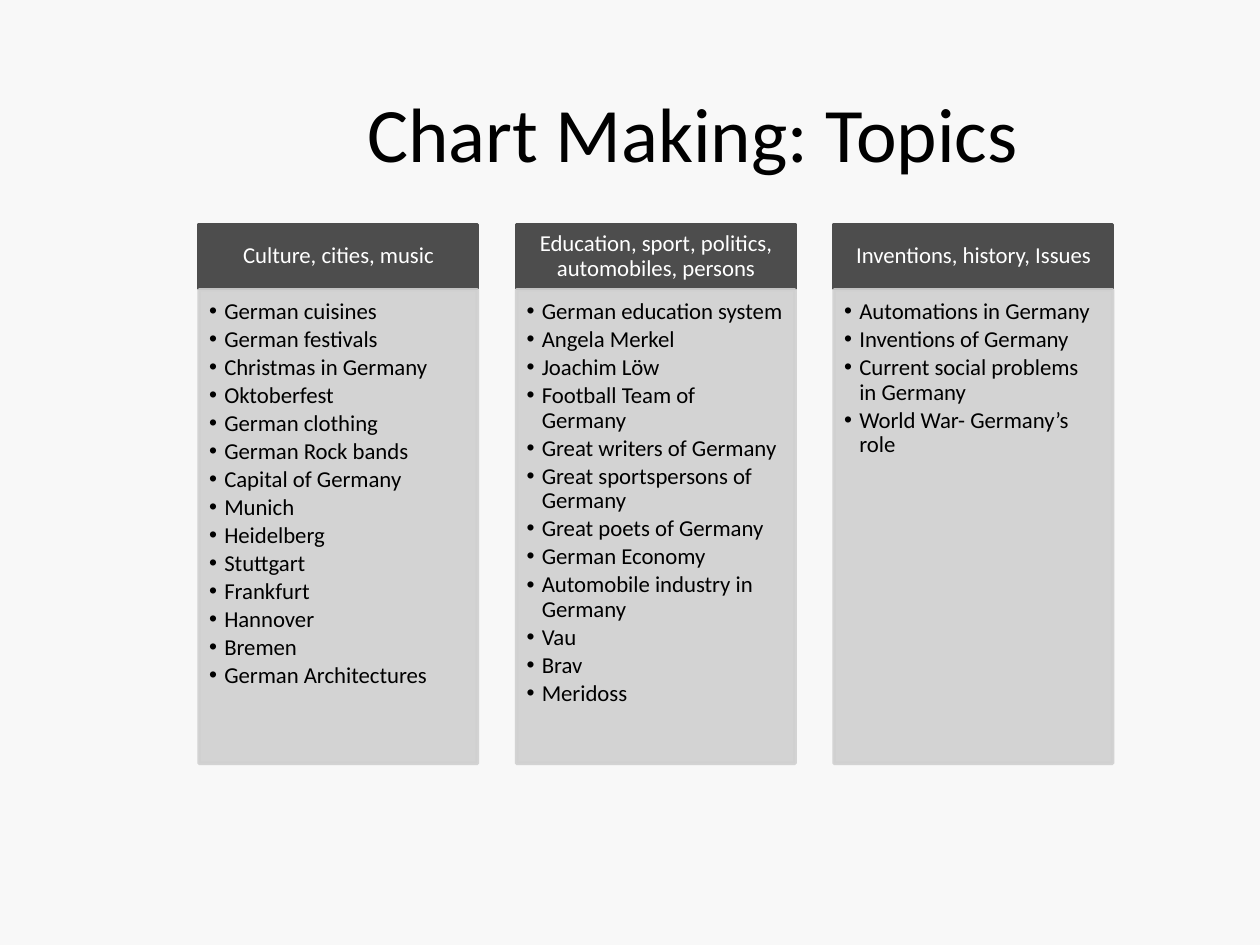
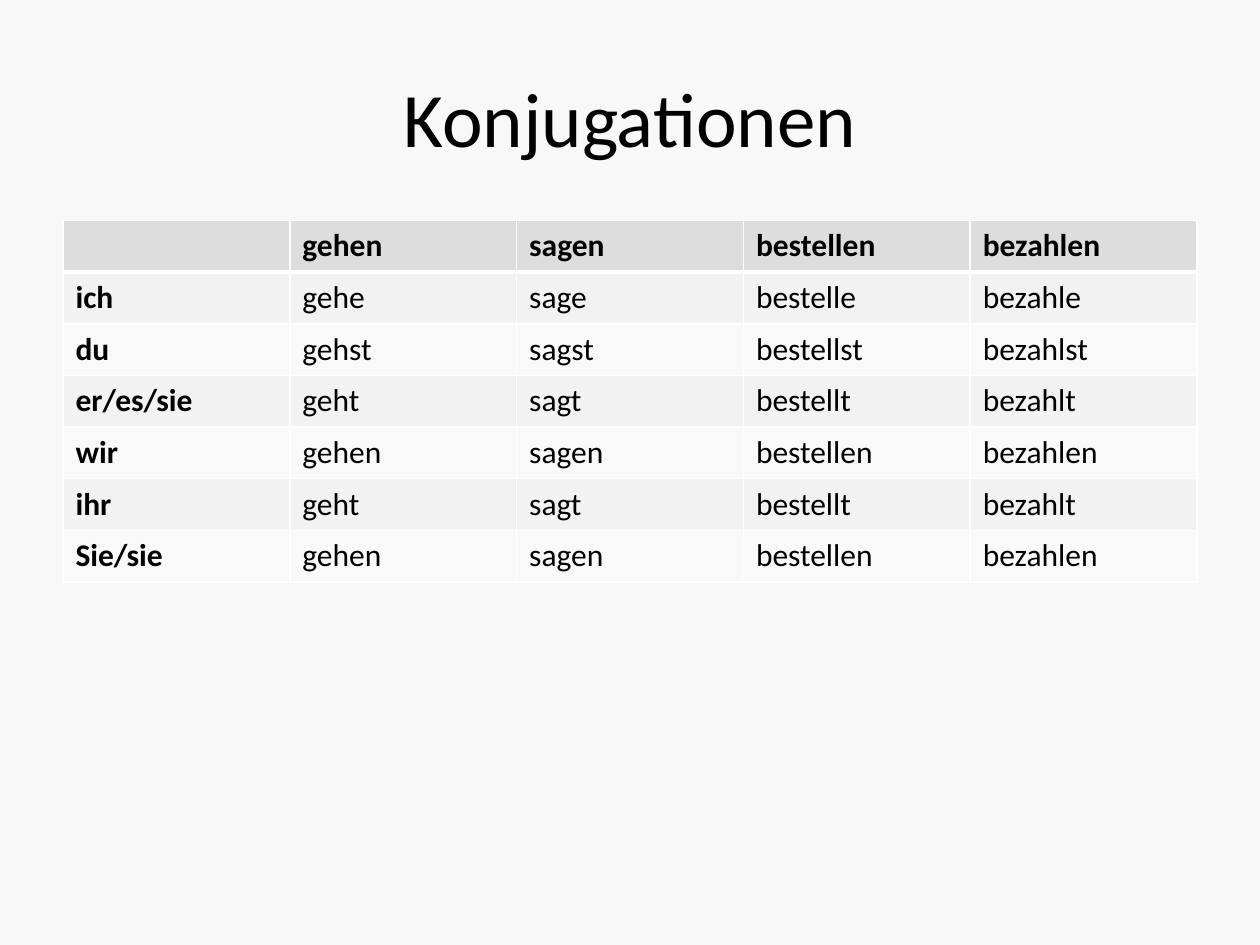
import pptx
import pptx.dml.color
import pptx.enum.shapes
import pptx.enum.text
import pptx.oxml.ns
import pptx.util
from lxml import etree

Inches, Pt = pptx.util.Inches, pptx.util.Pt
ANCHOR, ALIGN = pptx.enum.text.MSO_ANCHOR, pptx.enum.text.PP_ALIGN
qn = pptx.oxml.ns.qn

# Content
TOPICS_TITLE = "Chart Making: Topics"
TOPICS = {
    "Culture, cities, music": [
        "German cuisines", "German festivals", "Christmas in Germany",
        "Oktoberfest", "German clothing", "German Rock bands",
        "Capital of Germany", "Munich", "Heidelberg", "Stuttgart",
        "Frankfurt", "Hannover", "Bremen", "German Architectures",
    ],
    "Education, sport, politics, automobiles, persons": [
        "German education system", "Angela Merkel", "Joachim Löw",
        "Football Team of Germany", "Great writers of Germany",
        "Great sportspersons of Germany", "Great poets of Germany",
        "German Economy", "Automobile industry in Germany",
        "Vau", "Brav", "Meridoss",
    ],
    "Inventions, history, Issues": [
        "Automations in Germany", "Inventions of Germany",
        "Current social problems in Germany", "World War- Germany’s role",
    ],
}
VERBS_TITLE = "Konjugationen"
CONJUGATIONS = [
    ("", "gehen", "sagen", "bestellen", "bezahlen"),
    ("ich", "gehe", "sage", "bestelle", "bezahle"),
    ("du", "gehst", "sagst", "bestellst", "bezahlst"),
    ("er/es/sie", "geht", "sagt", "bestellt", "bezahlt"),
    ("wir", "gehen", "sagen", "bestellen", "bezahlen"),
    ("ihr", "geht", "sagt", "bestellt", "bezahlt"),
    ("Sie/sie", "gehen", "sagen", "bestellen", "bezahlen"),
]

# Shared style
FONT = "Calibri"
COLORS = {
    "background": "F8F8F8", "text": "000000", "white": "FFFFFF",
    "topic head": "4D4D4D", "topic body": "D0D0D0",
    "verb head": "DDDDDD", "odd row": "F2F2F2", "even row": "F9F9F9",
}


def rgb(name):
    return pptx.dml.color.RGBColor.from_string(COLORS[name])


def add_run(paragraph, text, size, color="text", bold=False):
    run = paragraph.add_run()
    run.text = text
    run.font.name, run.font.size, run.font.bold = FONT, Pt(size), bold
    run.font.color.rgb = rgb(color)


def add_titled_slide(deck, text, left, top):
    slide = deck.slides.add_slide(deck.slide_layouts[5])
    title = slide.shapes.title
    title.left, title.top = Inches(left), Inches(top)
    title.width, title.height = Inches(9), Inches(1.25)
    title.text_frame.vertical_anchor = ANCHOR.MIDDLE
    paragraph = title.text_frame.paragraphs[0]
    paragraph.alignment = ALIGN.CENTER
    add_run(paragraph, text, 44)
    return slide


def add_panel(slide, place, color, insets, anchor, opacity=100):
    panel = slide.shapes.add_shape(
        pptx.enum.shapes.MSO_SHAPE.RECTANGLE, *map(Inches, place))
    panel.shadow.inherit = False
    panel.fill.solid()
    panel.fill.fore_color.rgb = rgb(color)
    panel.line.color.rgb = rgb(color)
    panel.line.width = Pt(2)
    if opacity < 100:
        for tint in panel._element.spPr.iter(qn("a:srgbClr")):
            etree.SubElement(tint, qn("a:alpha"), val=str(opacity * 1000))
    frame = panel.text_frame
    frame.word_wrap = True
    frame.vertical_anchor = anchor
    (frame.margin_left, frame.margin_top,
     frame.margin_right, frame.margin_bottom) = map(Inches, insets)
    return frame


def add_bullet(paragraph, indent):
    properties = paragraph._p.get_or_add_pPr()
    properties.set("marL", str(Inches(indent)))
    properties.set("indent", str(-Inches(indent)))
    etree.SubElement(properties, qn("a:buFont"), typeface="Arial")
    etree.SubElement(properties, qn("a:buChar"), char="•")


def add_topic(slide, left, heading, topics):
    width, top, head_height, body_height = 2.21, 1.78, 0.51, 3.76

    head = add_panel(slide, (left, top, width, head_height), "topic head",
                     (0.1, 0.06, 0.1, 0.06), ANCHOR.MIDDLE)
    paragraph = head.paragraphs[0]
    paragraph.alignment = ALIGN.CENTER
    paragraph.line_spacing = 0.9
    add_run(paragraph, heading, 13, "white")

    body = add_panel(slide, (left, top + head_height + 0.01, width, body_height),
                     "topic body", (0.08, 0.08, 0.1, 0.11), ANCHOR.TOP, 90)
    for index, topic in enumerate(topics):
        paragraph = body.add_paragraph() if index else body.paragraphs[0]
        add_bullet(paragraph, 0.12)
        paragraph.alignment = ALIGN.LEFT
        paragraph.line_spacing = 0.9
        paragraph.space_after = Pt(1.95)
        add_run(paragraph, topic, 13)


def set_borders(cell, top, bottom):
    properties = cell._tc.get_or_add_tcPr()
    for side, width in (("L", 0.96), ("R", 0.96), ("T", top), ("B", bottom)):
        line = etree.SubElement(properties, qn("a:ln" + side), w=str(Pt(width)))
        fill = etree.SubElement(line, qn("a:solidFill"))
        etree.SubElement(fill, qn("a:srgbClr"), val=COLORS["white"])


def add_conjugations(slide):
    rows, columns = len(CONJUGATIONS), len(CONJUGATIONS[0])
    verbs = slide.shapes.add_table(
        rows, columns, Inches(0.5), Inches(1.75),
        Inches(9), Inches(0.41 * rows)).table
    for r, forms in enumerate(CONJUGATIONS):
        verbs.rows[r].height = Inches(0.41)
        row_color = "verb head" if r == 0 else "odd row" if r % 2 else "even row"
        for c, form in enumerate(forms):
            cell = verbs.cell(r, c)
            # The rule under the header is heavier than the grid
            set_borders(cell, 3 if r == 1 else 0.96, 3 if r == 0 else 0.96)
            cell.fill.solid()
            cell.fill.fore_color.rgb = rgb(row_color)
            if form:
                add_run(cell.text_frame.paragraphs[0], form, 18,
                        bold=r == 0 or c == 0)


def main():
    deck = pptx.Presentation()
    deck.slide_width, deck.slide_height = Inches(10), Inches(7.5)
    background = deck.slide_master.background.fill
    background.solid()
    background.fore_color.rgb = rgb("background")

    # Topics in three columns
    slide = add_titled_slide(deck, TOPICS_TITLE, 1, 0.42)
    for column, (heading, topics) in enumerate(TOPICS.items()):
        add_topic(slide, 1.58 + 2.52 * column, heading, topics)

    # Verb table
    add_conjugations(add_titled_slide(deck, VERBS_TITLE, 0.5, 0.3))

    deck.save("out.pptx")


if __name__ == "__main__":
    main()
